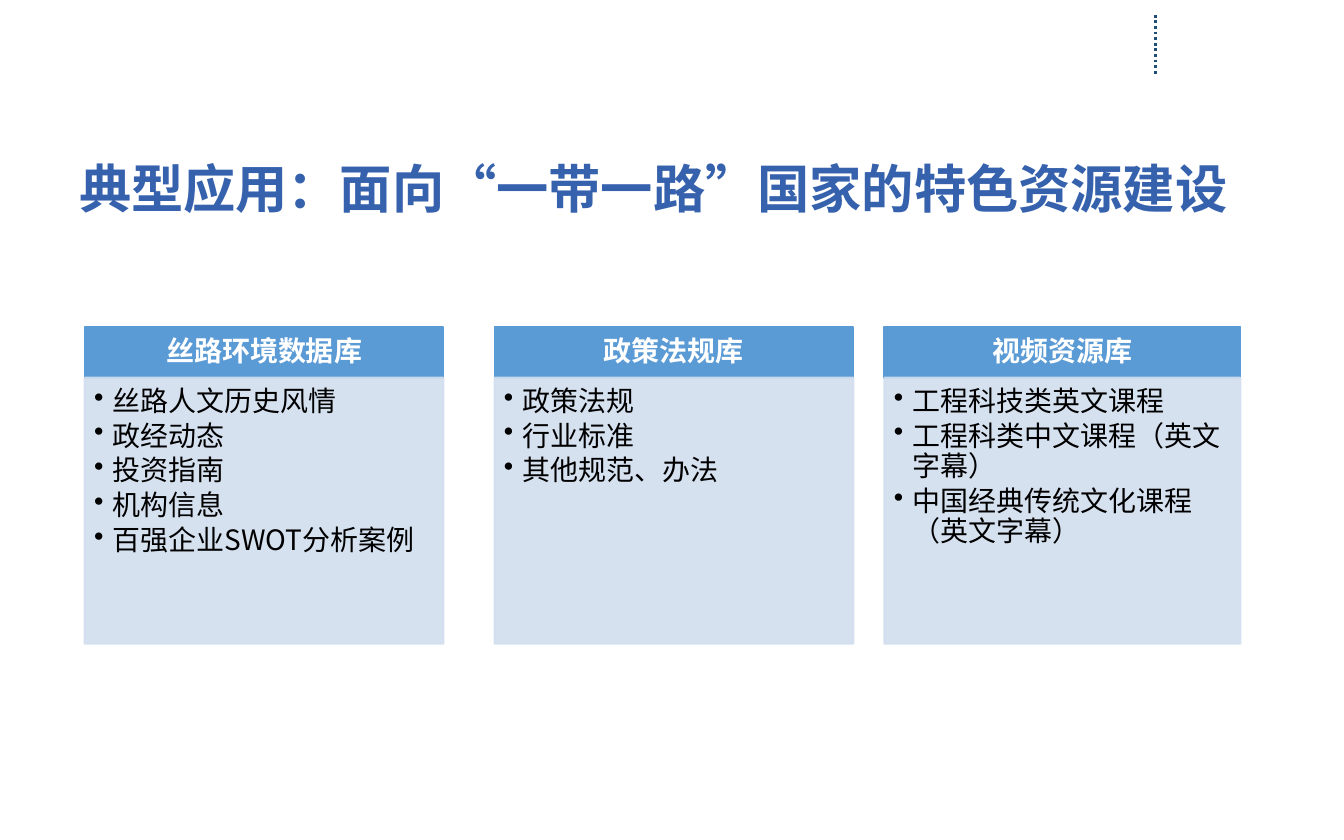
"""Build the slide on resource libraries for Belt and Road countries."""
from lxml import etree
from pptx import Presentation
from pptx import util as u
from pptx.dml.color import RGBColor
from pptx.enum import dml, shapes, text
from pptx.oxml.ns import qn

FONT = "Noto Sans CJK SC"
HEADER_FORMAT = {"size": u.Pt(15), "bold": True}
ITEM_FORMAT = {"size": u.Pt(15), "bold": False}
TITLE_FORMAT = {"size": u.Pt(28), "bold": True}
TOP, HEADER_HEIGHT, BODY_HEIGHT = 2.43, 0.38, 1.98
LIBRARIES = [
    (0.63, 2.67, "丝路环境数据库",
     ["丝路人文历史风情", "政经动态", "投资指南", "机构信息", "百强企业SWOT分析案例"]),
    (3.68, 2.67, "政策法规库",
     ["政策法规", "行业标准", "其他规范、办法"]),
    (6.58, 2.65, "视频资源库",
     ["工程科技类英文课程", "工程科类中文课程（英文字幕）", "中国经典传统文化课程（英文字幕）"]),
]


def color(value):
    return RGBColor.from_string(value)


def write(para, words, tint, formats):
    span = para.add_run()
    span.text = words
    span.font.color.rgb = color(tint)
    for name, value in {"name": FONT, **formats}.items():
        setattr(span.font, name, value)
    etree.SubElement(span.font._element, qn("a:ea"), typeface=FONT)


deck = Presentation()
deck.slide_width, deck.slide_height = u.Inches(10), u.Inches(6.25)
page = deck.slides.add_slide(deck.slide_layouts[6])

divider = page.shapes.add_connector(
    shapes.MSO_CONNECTOR.STRAIGHT,
    u.Inches(8.6), u.Inches(0.11), u.Inches(8.6), u.Inches(0.56))
divider.line.color.rgb = color("1F4E79")
divider.line.width = u.Pt(1.5)
divider.line.dash_style = dml.MSO_LINE.ROUND_DOT
etree.SubElement(divider._element.spPr, qn("a:effectLst"))

title = page.shapes.add_textbox(u.Inches(0.49), u.Inches(1.16), u.Inches(9), u.Inches(0.42))
title.text_frame.word_wrap = True
title.text_frame.margin_top = 0
write(title.text_frame.paragraphs[0], "典型应用：面向“一带一路”国家的特色资源建设", "3661AD", TITLE_FORMAT)

for left, width, heading, items in LIBRARIES:
    panels = [
        (TOP, HEADER_HEIGHT, "5B9BD5", text.MSO_ANCHOR.MIDDLE, (0.09, 0.05, 0.09, 0.05)),
        (TOP + HEADER_HEIGHT, BODY_HEIGHT, "D2DEEF", text.MSO_ANCHOR.TOP, (0.07, 0.07, 0.09, 0.1)),
    ]
    boxes = []
    for top, height, tint, anchor, margins in panels:
        box = page.shapes.add_shape(
            shapes.MSO_SHAPE.RECTANGLE,
            u.Inches(left), u.Inches(top), u.Inches(width), u.Inches(height))
        box.shadow.inherit = False
        box.fill.solid()
        box.fill.fore_color.rgb = color(tint)
        box.line.color.rgb = color(tint)
        box.line.width = u.Pt(1)
        frame = box.text_frame
        frame.word_wrap = True
        frame.vertical_anchor = anchor
        for side, margin in zip(("left", "top", "right", "bottom"), margins):
            setattr(frame, f"margin_{side}", u.Inches(margin))
        boxes.append(box)

    header, body = boxes
    para = header.text_frame.paragraphs[0]
    para.alignment = text.PP_ALIGN.CENTER
    para.line_spacing = 0.9
    write(para, heading, "FFFFFF", HEADER_FORMAT)

    for tone in body._element.spPr.iter(qn("a:srgbClr")):
        etree.SubElement(tone, qn("a:alpha"), val="90000")
    for index, item in enumerate(items):
        para = body.text_frame.add_paragraph() if index else body.text_frame.paragraphs[0]
        para.level = 1
        para.alignment = text.PP_ALIGN.LEFT
        para.line_spacing = 0.9
        para.space_after = u.Pt(2.4)
        properties = para._p.get_or_add_pPr()
        properties.set("marL", str(u.Inches(0.14)))
        properties.set("indent", str(-u.Inches(0.14)))
        etree.SubElement(properties, qn("a:buChar"), char="•")
        write(para, item, "000000", ITEM_FORMAT)

deck.save("out.pptx")
